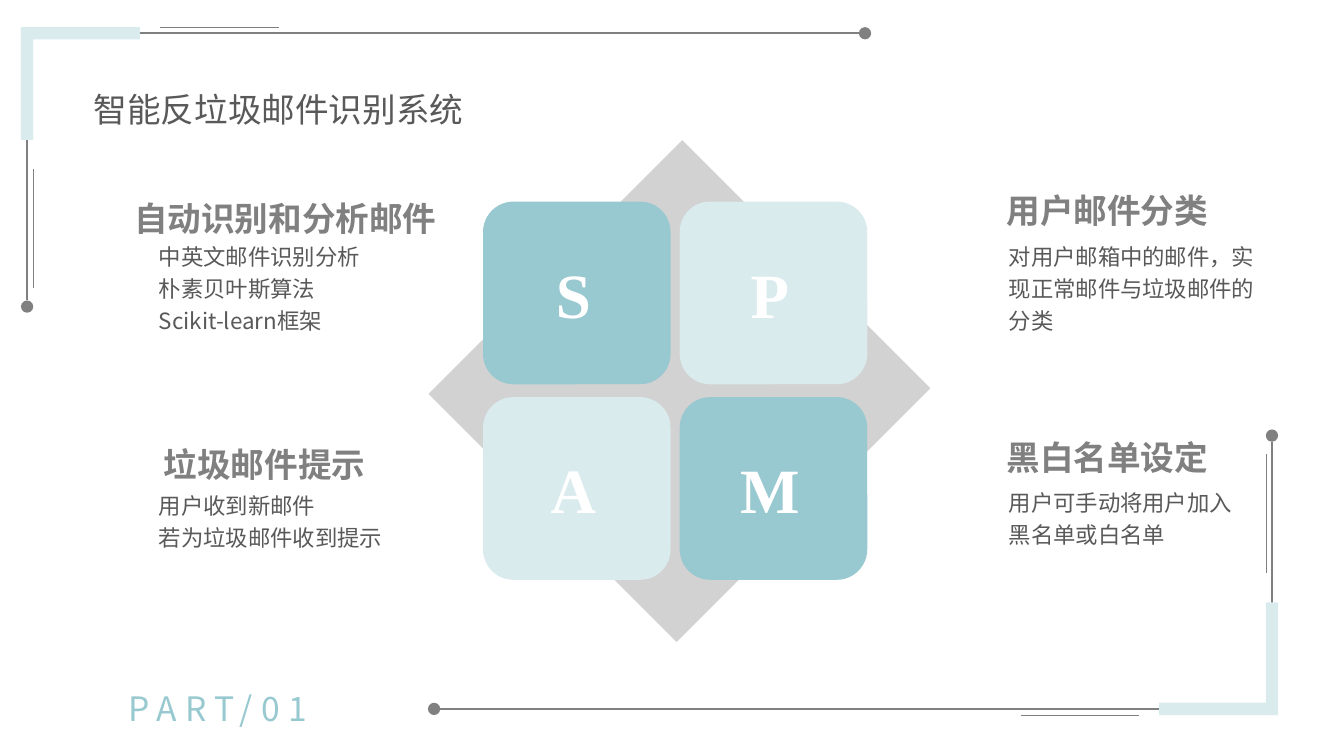
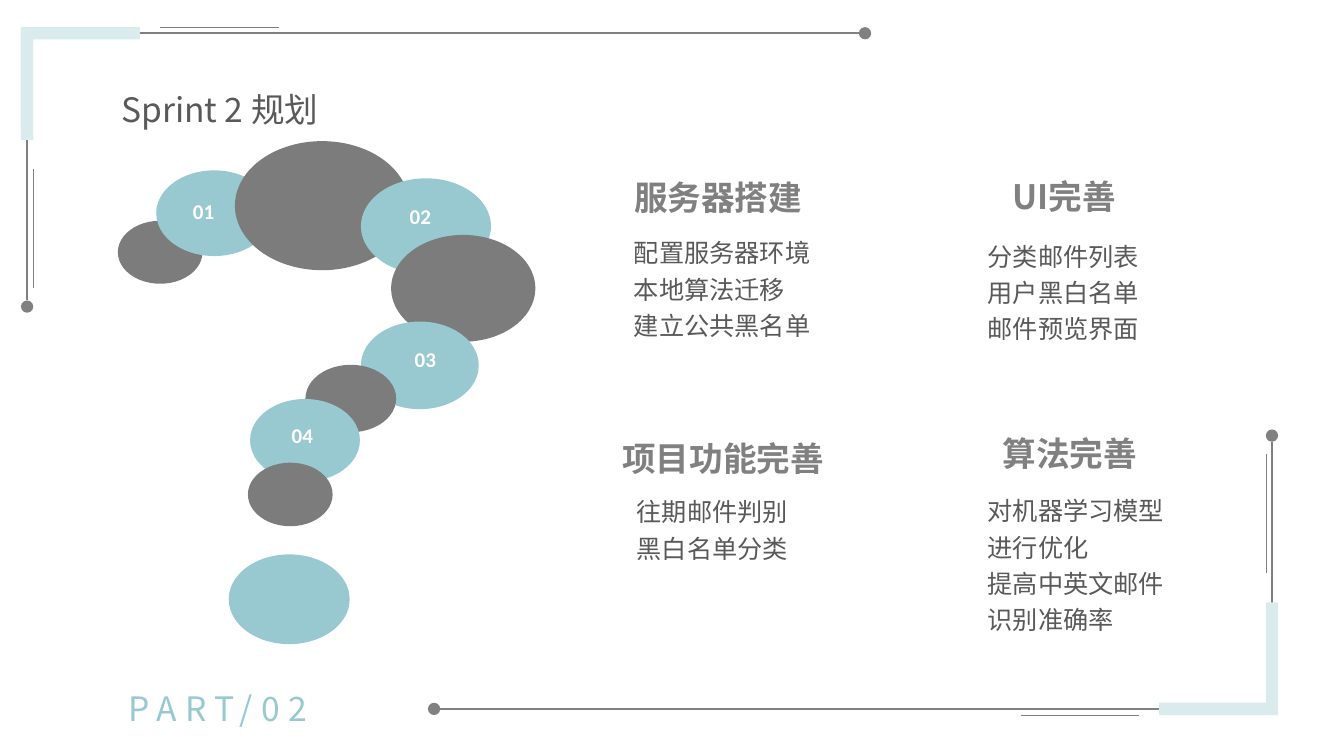
from lxml.etree import SubElement
from pptx import Presentation
from pptx.dml.color import RGBColor
from pptx.enum.shapes import MSO_CONNECTOR, MSO_SHAPE
from pptx.enum.text import MSO_ANCHOR, PP_ALIGN
from pptx.oxml.ns import qn
from pptx.util import Pt

COLORS = {"gray": "808080", "bubble": "7C7C7C", "diamond": "A6A6A6", "text": "595959",
          "teal": "98C9D0", "pale": "DAEBEE", "white": "FFFFFF"}
SC, JP = "Noto Sans CJK SC", "Noto Sans CJK JP"

# Top-left corner of the frame; the bottom-right one is its half-turn.
# Each part: left, top, width, height
TURN_X, TURN_Y = 928, 530.2
FRAME_LINES = [  # box, line width
    ((19.4, 23.8, 594, 0), 1.25),
    ((19.4, 23.8, 0, 190.8), 1.25),
    ((114.5, 19.4, 84.5, 0), 0.5),
    ((23.8, 121, 0, 85), 0.5),
]
FRAME_SHAPES = [
    (MSO_SHAPE.OVAL, (613.5, 19.4, 8.8, 8.8), "gray"),
    (MSO_SHAPE.OVAL, (15, 214.6, 8.8, 8.8), "gray"),
    (MSO_SHAPE.RECTANGLE, (19.4, 19.4, 80.6, 8.8), "pale"),
    (MSO_SHAPE.RECTANGLE, (15, 19.4, 8.8, 80.6), "pale"),
]

# Heading, its (centre, top); body paragraphs, their (left, top, width)
FEATURES = [
    ("自动识别和分析邮件", (203.8, 129.6),
     ["中英文邮件识别分析", "朴素贝叶斯算法", "Scikit-learn框架"], (106.5, 166.3, 200)),
    ("垃圾邮件提示", (189, 305.3),
     ["用户收到新邮件", "若为垃圾邮件收到提示"], (106.5, 344.2, 200)),
    ("用户邮件分类", (791, 123.8),
     ["对用户邮箱中的邮件，实现正常邮件与垃圾邮件的分类"], (713.5, 166.3, 200)),
    ("黑白名单设定", (791, 300.2),
     ["用户可手动将用户加入黑名单或白名单"], (713.5, 342, 177)),
]
PLANS = [
    ("服务器搭建", (513, 114.5),
     ["配置服务器环境", "本地算法迁移", "建立公共黑名单"], (445.7, 162, 200)),
    ("UI完善", (760, 113.8),
     ["分类邮件列表", "用户黑白名单", "邮件预览界面"], (698.4, 164.2, 200)),
    ("项目功能完善", (516.6, 301),
     ["往期邮件判别", "黑白名单分类"], (447.8, 347, 200)),
    ("算法完善", (764.3, 298),
     ["对机器学习模型进行优化", "提高中英文邮件识别准确率"], (698.4, 346.3, 151)),
]

TILES = ["SP", "AM"]
TILE_W, TILE_H, TILE_LEFT, TILE_TOP = 134, 130.5, 345, 144
TILE_STEP_X, TILE_STEP_Y = 140.5, 139.7

BUBBLES = [  # alternately gray and teal, along a question mark
    (84.2, 157.7, 60.5, 45), (111.6, 121.7, 82.8, 61.2), (167.8, 100.8, 124.6, 92.2),
    (257.8, 127.4, 92.9, 68.4), (279.4, 167.8, 103, 76.3), (257.8, 229.7, 84.2, 62.6),
    (218.2, 260.6, 64.8, 48.2), (178.6, 285, 78.5, 59), (177.1, 330.5, 60.5, 45.4),
    (163.4, 396, 86.4, 64.1),
]
BUBBLE_LABELS = [("01", 103.7, 138.2), ("02", 258.5, 141.8),
                 ("03", 262.1, 244.1), ("04", 174.2, 298.1)]


def rgb(name):
    return RGBColor.from_string(COLORS[name])


def points(box):
    return [Pt(v) for v in box]


def half_turn(box):
    x, y, w, h = box
    return TURN_X - x - w, TURN_Y - y - h, w, h


def add_filled(s, kind, box, color):
    sp = s.shapes.add_shape(kind, *points(box))
    sp.shadow.inherit = False
    sp.fill.solid()
    sp.fill.fore_color.rgb = rgb(color)
    sp.line.fill.background()
    return sp


def add_rule(s, box, width):
    x, y, w, h = box
    line = s.shapes.add_connector(MSO_CONNECTOR.STRAIGHT, *points((x, y, x + w, y + h)))
    line.line.color.rgb = rgb("gray")
    line.line.width = Pt(width)
    SubElement(line._element.spPr, qn("a:effectLst"))


def write(sp, paragraphs, size, color, font=SC, bold=False, align=PP_ALIGN.CENTER,
          anchor=MSO_ANCHOR.TOP, insets=(7.2, 3.6, 7.2, 3.6), leading=None,
          before=None, tracking=None):
    """Fill a shape with paragraphs of one style; tracking is in points."""
    tf = sp.text_frame
    tf.word_wrap = True
    tf.vertical_anchor = anchor
    tf.margin_left, tf.margin_top, tf.margin_right, tf.margin_bottom = points(insets)
    for i, text in enumerate(paragraphs):
        p = tf.paragraphs[0] if i == 0 else tf.add_paragraph()
        p.text = text
        p.alignment = align
        if leading:
            p.line_spacing = leading
        if before:
            p.space_before = Pt(before)
        p.font.size = Pt(size)
        p.font.bold = bold
        p.font.color.rgb = rgb(color)
        p.font.name = font
        props = p._p.pPr.find(qn("a:defRPr"))
        SubElement(props, qn("a:ea")).set("typeface", font)
        if tracking:
            props.set("spc", str(tracking * 100))


def add_text(s, box, paragraphs, size, color, **style):
    write(s.shapes.add_textbox(*points(box)), paragraphs, size, color, **style)


def new_slide(prs, title, title_center, part):
    """Add a slide with the corner frame, part label and title."""
    s = prs.slides.add_slide(prs.slide_layouts[6])
    for place in (tuple, half_turn):
        for box, width in FRAME_LINES:
            add_rule(s, place(box), width)
        for kind, box, color in FRAME_SHAPES:
            add_filled(s, kind, place(box), color)
    add_text(s, (19.4, 473, 272.2, 66.2), [part], 24, "teal",
             anchor=MSO_ANCHOR.MIDDLE, tracking=6)
    add_text(s, (title_center - 141.5, 37, 283, 75.4), [title], 24, "text", font=JP,
             anchor=MSO_ANCHOR.MIDDLE, insets=(0, 0, 0, 0), leading=1.2)
    return s


def add_blocks(s, blocks, body_size):
    for heading, (center, top), body, (x, y, w) in blocks:
        add_text(s, (center - 123, top, 246, 43.2), [heading], 24, "gray", bold=True,
                 insets=(11.5, 5.8, 11.5, 5.8), leading=1.2, before=4.8)
        add_text(s, (x, y, w, 80), body, body_size, "text",
                 align=PP_ALIGN.LEFT, leading=1.2)


def add_spam_tiles(s):
    diamond = add_filled(s, MSO_SHAPE.RECTANGLE, (360, 151.2, 250.6, 256.3), "diamond")
    diamond.rotation = 45
    fill = diamond._element.spPr.find(qn("a:solidFill"))
    SubElement(fill[0], qn("a:alpha")).set("val", "50000")
    for row, letters in enumerate(TILES):
        for col, letter in enumerate(letters):
            box = (TILE_LEFT + col * TILE_STEP_X, TILE_TOP + row * TILE_STEP_Y,
                   TILE_W, TILE_H)
            tile = add_filled(s, MSO_SHAPE.ROUNDED_RECTANGLE, box,
                              "teal" if row == col else "pale")
            write(tile, [letter], 45, "white", font="Times New Roman", bold=True,
                  anchor=MSO_ANCHOR.MIDDLE, insets=(0, 0, 5, 0))


def add_question_mark(s):
    for i, box in enumerate(BUBBLES):
        add_filled(s, MSO_SHAPE.OVAL, box, "teal" if i % 2 else "bubble")
    for label, x, y in BUBBLE_LABELS:
        add_text(s, (x, y, 83.5, 25.2), [label], 15, "white", font="Calibri", bold=True)


def main():
    prs = Presentation()
    prs.slide_width, prs.slide_height = Pt(960), Pt(540)

    s = new_slide(prs, "智能反垃圾邮件识别系统", 199, "PART/01")
    add_spam_tiles(s)
    add_blocks(s, FEATURES, 16)

    s = new_slide(prs, "Sprint 2 规划", 157, "PART/02")
    add_question_mark(s)
    add_blocks(s, PLANS, 18)

    prs.save("out.pptx")


if __name__ == "__main__":
    main()
